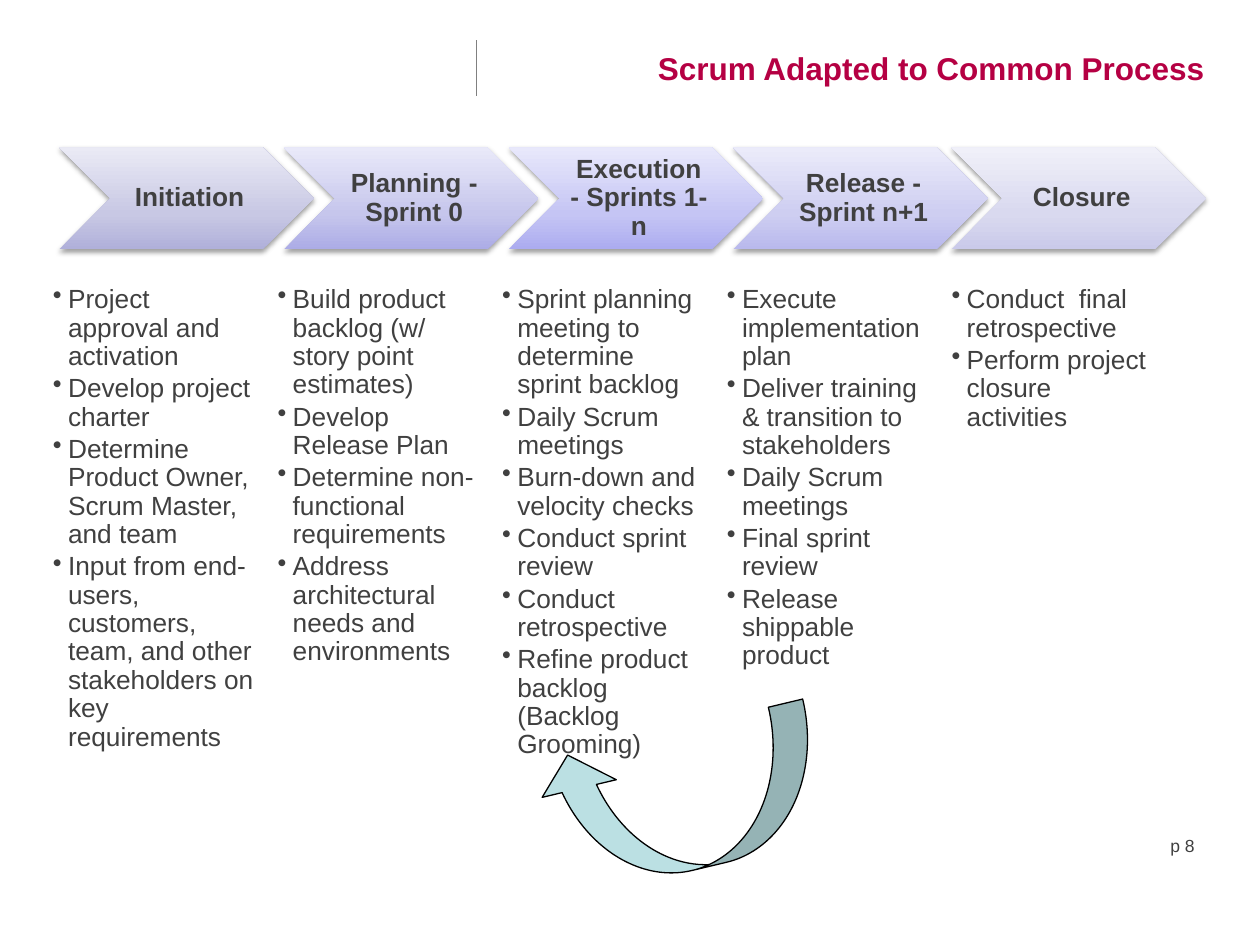
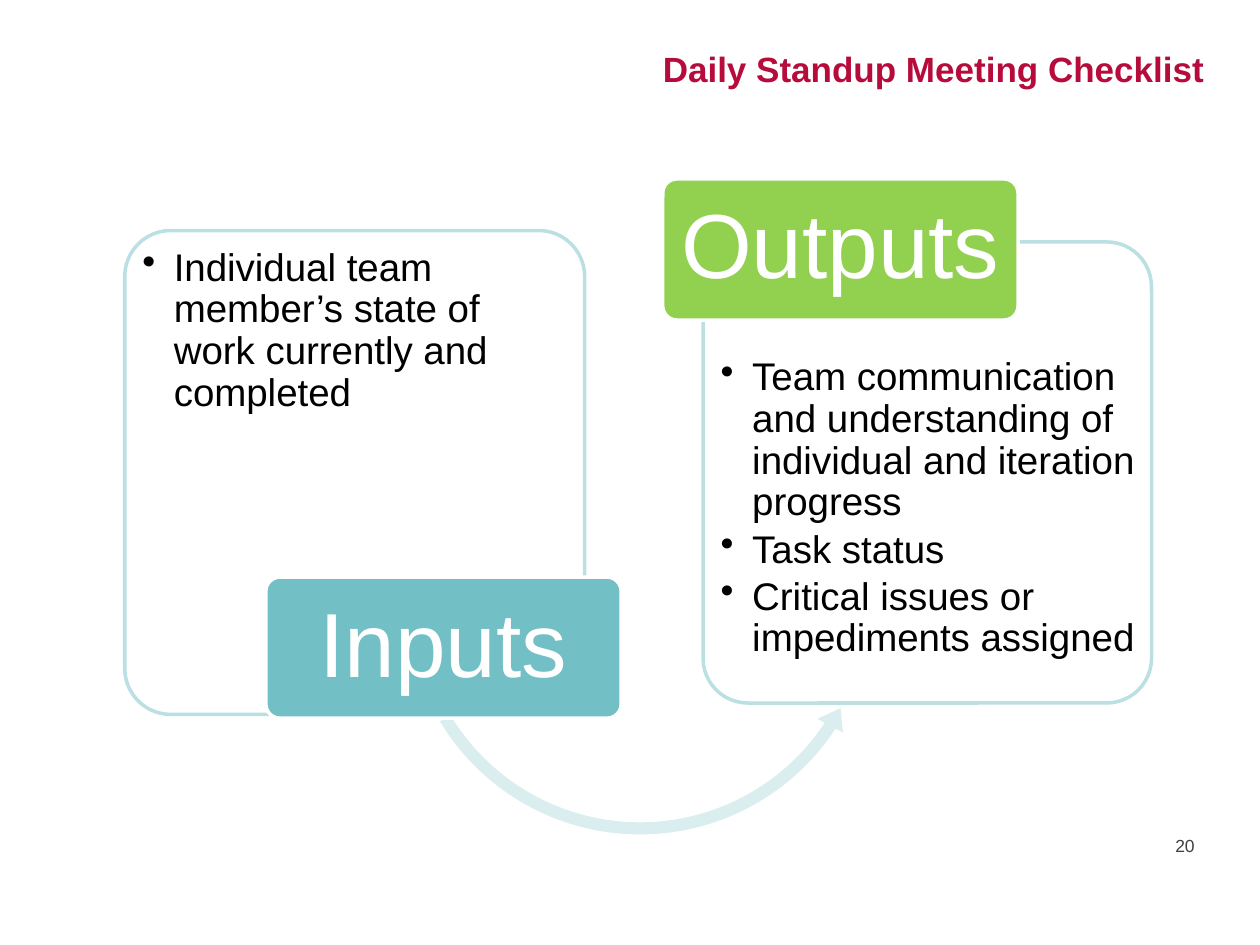
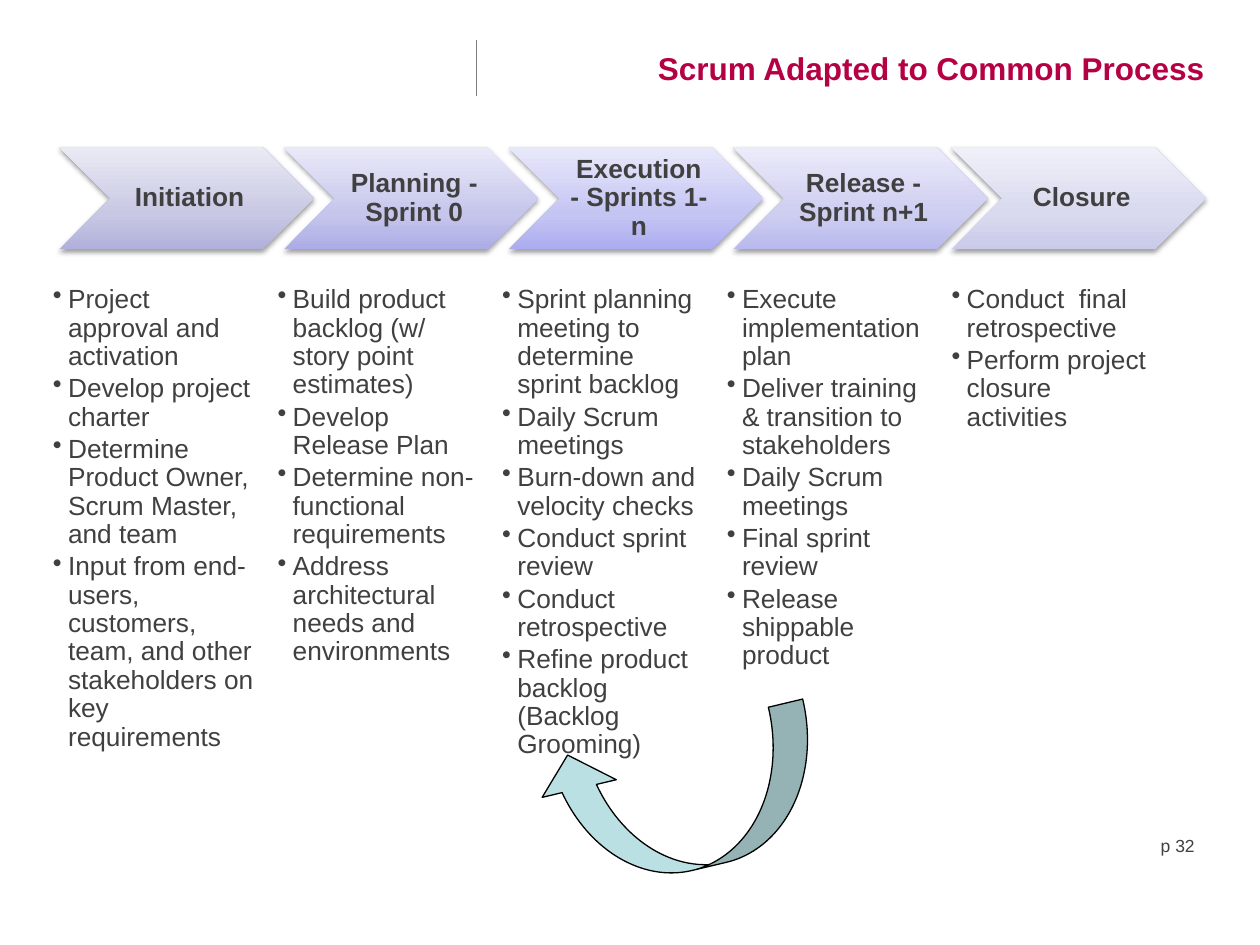
"""Builds three Scrum slides: the adapted process, the standup checklist, and the process again."""
from copy import deepcopy

from lxml.etree import SubElement
from pptx import Presentation
from pptx.dml.color import RGBColor
from pptx.enum.shapes import MSO_CONNECTOR, MSO_SHAPE
from pptx.enum.text import MSO_ANCHOR, MSO_AUTO_SIZE, PP_ALIGN
from pptx.oxml.ns import qn
from pptx.util import Inches, Pt

COLUMNS, ROWS = 100, 75
FONT = "Arial"
CRIMSON, RUBY, INK, BLACK, WHITE = "B50043", "B70B3B", "404040", "000000", "FFFFFF"
PALE_TEAL, MIST, TEAL, GREEN, GREY = "BBE0E3", "DAEDEF", "72BFC5", "92D050", "808080"

STAGES = [
    ("Initiation", ("B0B0DA", "C8C8E4", "EAEAF5"), [
        "Project approval and activation",
        "Develop project charter",
        "Determine Product Owner, Scrum Master, and team",
        "Input from end-users, customers, team, and other stakeholders on key requirements"]),
    ("Planning - Sprint 0", ("ACACE6", "C6C6EC", "E9E9F9"), [
        "Build product backlog (w/ story point estimates)",
        "Develop Release Plan",
        "Determine non-functional requirements",
        "Address architectural needs and environments"]),
    ("Execution - Sprints 1-n", ("ACACF0", "C5C5F4", "E8E8FB"), [
        "Sprint planning meeting to determine sprint backlog",
        "Daily Scrum meetings",
        "Burn-down and velocity checks",
        "Conduct sprint review",
        "Conduct retrospective",
        "Refine product backlog (Backlog Grooming)"]),
    ("Release - Sprint n+1", ("B9B9ED", "CECEF1", "EBEBFA"), [
        "Execute implementation plan",
        "Deliver training & transition to stakeholders",
        "Daily Scrum meetings",
        "Final sprint review",
        "Release shippable product"]),
    ("Closure", ("CACAEA", "D9D9EF", "F0F0F9"), [
        "Conduct  final retrospective",
        "Perform project closure activities"]),
]
INPUTS = ["Individual team member’s state of work currently and completed"]
OUTPUTS = [
    "Team communication and understanding of individual and iteration progress",
    "Task status",
    "Critical issues or impediments assigned",
]


def rgb(code):
    """Turn a hex string into a colour."""
    return RGBColor.from_string(code)


class Deck:
    """Holds the presentation, its style and the current slide."""

    def __init__(self):
        """Start an empty deck of 10 by 7.5 inches."""
        self.prs = Presentation()
        self.prs.slide_width, self.prs.slide_height = Inches(10), Inches(7.5)

    def grid(self, *cells):
        """Turn alternating columns and rows into lengths."""
        units = (self.prs.slide_width / COLUMNS, self.prs.slide_height / ROWS)
        return [round(c * units[i % 2]) for i, c in enumerate(cells)]

    def fill_text(self, tf, lines, size, color, align=PP_ALIGN.LEFT, bold=False,
                  anchor=MSO_ANCHOR.TOP, insets=(0.1, 0.05, 0.1, 0.05)):
        """Fill a text frame with evenly styled paragraphs."""
        tf.word_wrap, tf.auto_size, tf.vertical_anchor = True, MSO_AUTO_SIZE.NONE, anchor
        tf.margin_left, tf.margin_top, tf.margin_right, tf.margin_bottom = map(Inches, insets)
        tf.text = "\n".join(lines)
        for p in tf.paragraphs:
            p.alignment = align
            p.font.name, p.font.size, p.font.bold = FONT, Pt(size), bold
            p.font.color.rgb = rgb(color)

    def new_slide(self, title, page, size, color, at, anchor=MSO_ANCHOR.TOP):
        """Add a slide with its title and page number."""
        self.slide = self.prs.slides.add_slide(self.prs.slide_layouts[5])
        s = self.slide.shapes.title
        s.left, s.top, s.width, s.height = self.grid(*at)
        self.fill_text(s.text_frame, [title], size, color, PP_ALIGN.RIGHT, True, anchor)
        s = self.slide.shapes.add_textbox(*self.grid(75, 65.8, 20.8, 3.3))
        self.fill_text(s.text_frame, [page], 10, INK, PP_ALIGN.RIGHT)

    def shape(self, kind, at, fill=None, line=None, weight=2, adjust=()):
        """Add a flat preset shape."""
        s = self.slide.shapes.add_shape(kind, *self.grid(*at))
        s.shadow.inherit = False
        if fill:
            s.fill.solid()
            s.fill.fore_color.rgb = rgb(fill)
        if line:
            s.line.color.rgb, s.line.width = rgb(line), Pt(weight)
        else:
            s.line.fill.background()
        for i, value in enumerate(adjust):
            s.adjustments[i] = value
        return s

    def label(self, s, text, size, color, bold, insets):
        """Centre a label inside a shape."""
        self.fill_text(s.text_frame, [text], size, color, PP_ALIGN.CENTER, bold,
                       MSO_ANCHOR.MIDDLE, insets)
        p = s.text_frame.paragraphs[0]
        p.line_spacing, p.space_after = 0.9, Pt(0.35 * size)

    def bullets(self, at, lines, size, color, indent, inset):
        """Add a bulleted text box."""
        tf = self.slide.shapes.add_textbox(*self.grid(*at)).text_frame
        self.fill_text(tf, lines, size, color, insets=[inset] * 4)
        for p in tf.paragraphs:
            p.level, p.line_spacing, p.space_after = 1, 0.9, Pt(0.15 * size)
            pPr = p._p.get_or_add_pPr()
            pPr.set("marL", str(Inches(indent)))
            pPr.set("indent", str(-Inches(indent)))
            bullet = pPr.makeelement(qn("a:buChar"), {"char": "•"})
            pPr.insert_element_before(bullet, "a:tabLst", "a:defRPr", "a:extLst")

    def chevron(self, at, text, colors):
        """Add a shaded, shadowed chevron with a label."""
        s = self.shape(MSO_SHAPE.CHEVRON, at)
        s.fill.gradient()
        s.fill.gradient_angle = 90
        stops = s._element.spPr.find(".//" + qn("a:gsLst"))
        stops.append(deepcopy(stops[-1]))
        for stop, position, color in zip(s.fill.gradient_stops, (0, 0.35, 1), colors):
            stop.position, stop.color.rgb = position, rgb(color)
        effects = s._element.spPr.find(qn("a:effectLst"))
        shadow = SubElement(effects, qn("a:outerShdw"), blurRad=str(Pt(3.1)),
                            dist=str(Pt(1.6)), dir="5400000", rotWithShape="0")
        tint = SubElement(shadow, qn("a:srgbClr"), val=BLACK)
        SubElement(tint, qn("a:alpha"), val="38000")
        self.label(s, text, 15, INK, True, (0.07, 0.02, 0.02, 0.02))

    def rule(self, ends, color, weight):
        """Add a thin straight line."""
        s = self.slide.shapes.add_connector(MSO_CONNECTOR.STRAIGHT, *self.grid(*ends))
        s.line.color.rgb, s.line.width = rgb(color), Pt(weight)
        SubElement(s._element.spPr, qn("a:effectLst"))

    def panel(self, at, text_at, lines):
        """Add a rounded outline with bullets."""
        self.shape(MSO_SHAPE.ROUNDED_RECTANGLE, at, WHITE, PALE_TEAL, adjust=[0.1])
        self.bullets(text_at, lines, 22, BLACK, 0.25, 0.05)

    def tag(self, left, top, text, fill):
        """Add the large coloured name of a panel."""
        s = self.shape(MSO_SHAPE.ROUNDED_RECTANGLE, (left, top, 28.2, 11.2), fill, WHITE,
                       adjust=[0.1])
        self.label(s, text, 52, WHITE, False, (0.11, 0.07, 0.11, 0.07))


def process_slide(deck, page):
    """Draw the five stages and the arrow back to execution."""
    deck.new_slide("Scrum Adapted to Common Process", page, 18, CRIMSON, (38, 3.4, 58.6, 4))
    for i, (name, colors, tasks) in enumerate(STAGES):
        left = 4.2 + 17.83 * i
        deck.chevron((min(left + 0.5, 75.5), 11.7, 20.2, 8.1), name, colors)
        deck.bullets((left, 22.7, 16.1, 38.4), tasks, 15, INK, 0.12, 0)
    deck.rule((37.8, 3.2, 37.8, 7.6), GREY, 0.25)
    s = deck.shape(MSO_SHAPE.CURVED_UP_ARROW, (43.1, 57.9, 22.2, 11.2), PALE_TEAL, BLACK, 0.75,
                   (0.25, 0.54, 0.25))
    s.rotation = 346.6
    s._element.spPr.find(qn("a:xfrm")).set("flipH", "1")


def checklist_slide(deck):
    """Draw the inputs and outputs of the standup."""
    deck.new_slide("Daily Standup Meeting Checklist", "20", 20, RUBY, (40.1, 3.3, 56.5, 4.2),
                   MSO_ANCHOR.MIDDLE)
    deck.panel((9.9, 18.3, 36.5, 38.4), (10.8, 19.2, 34.7, 28.4), INPUTS)
    deck.shape(MSO_SHAPE.LEFT_CIRCULAR_ARROW, (31.6, 28.5, 38.4, 38.4), MIST,
               adjust=(0.025, 3.07, 19.95, 89.37, 0.03))
    deck.tag(21.1, 45.8, "Inputs", TEAL)
    deck.panel((55.8, 19.2, 35.6, 36.6), (56.7, 27.9, 33.9, 27.1), OUTPUTS)
    deck.tag(52.6, 14.2, "Outputs", GREEN)


def main():
    """Build and save the deck."""
    deck = Deck()
    process_slide(deck, "p 8")
    checklist_slide(deck)
    process_slide(deck, "p 32")
    deck.prs.save("out.pptx")


if __name__ == "__main__":
    main()
